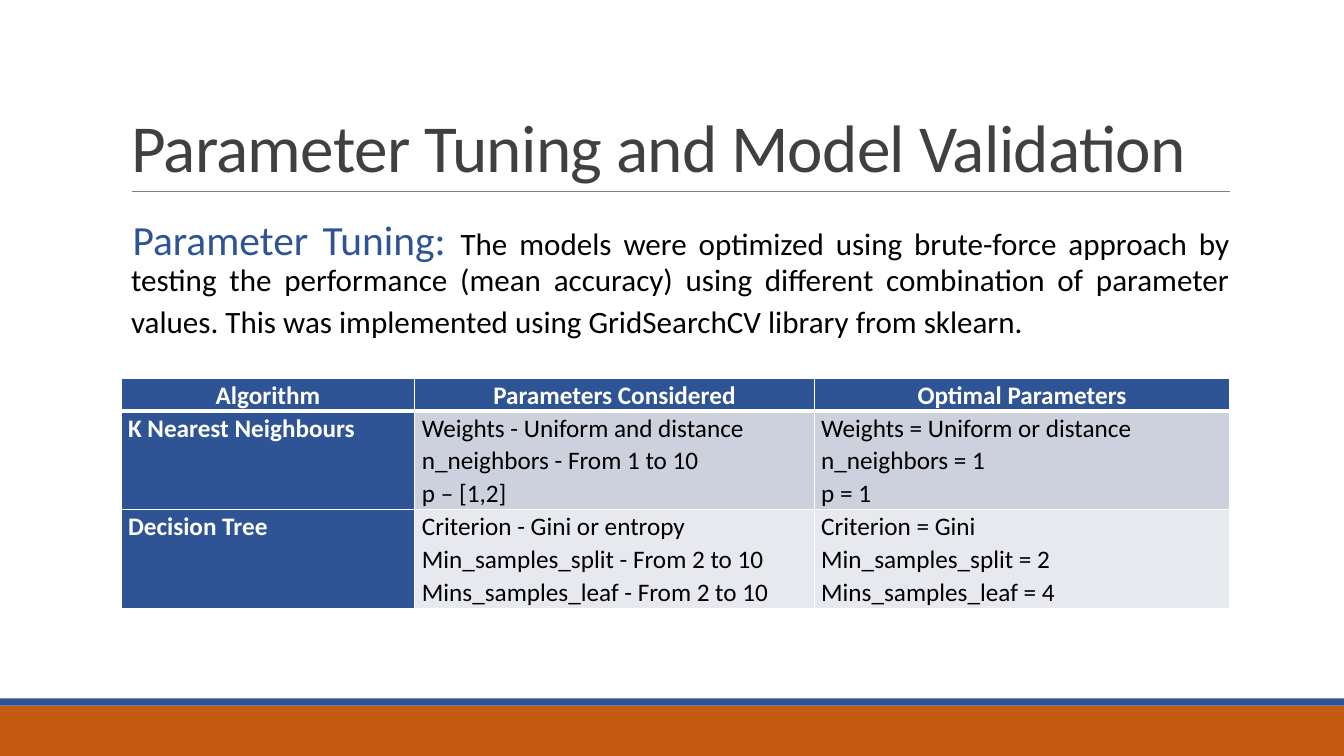
from dataclasses import dataclass

from lxml.etree import SubElement
from pptx import Presentation
from pptx.dml.color import RGBColor
from pptx.enum.shapes import MSO_CONNECTOR, MSO_SHAPE
from pptx.enum.text import MSO_ANCHOR, MSO_AUTO_SIZE, PP_ALIGN
from pptx.oxml.ns import qn
from pptx.util import Inches, Pt


@dataclass(frozen=True)
class Theme:
    font: str = "Calibri"
    title_color: str = "404040"
    text: str = "000000"
    white: str = "FFFFFF"
    blue: str = "2F5496"
    orange: str = "C55A11"
    rule: str = "808080"
    bands: tuple = ("CDD1DD", "E8E9EF")
    title_size: float = 48
    lead_size: float = 29.6
    body_size: float = 22.2
    table_size: float = 18


THEME = Theme()
WIDTH, HEIGHT = 13.33, 7.5
LEFT, CONTENT_WIDTH = 1.2, 11
COLUMN_SHARES = (0.265, 0.36, 0.375)
ROW_LINES = (1, 3, 3)

HEADERS = ("Algorithm", "Parameters Considered", "Optimal Parameters")
ALGORITHMS = (
    (
        "K Nearest Neighbours",
        ("Weights - Uniform and distance", "n_neighbors - From 1 to 10", "p – [1,2]"),
        ("Weights = Uniform or distance", "n_neighbors = 1", "p = 1"),
    ),
    (
        "Decision Tree",
        ("Criterion - Gini or entropy", "Min_samples_split - From 2 to 10",
         "Mins_samples_leaf - From 2 to 10"),
        ("Criterion = Gini", "Min_samples_split = 2", "Mins_samples_leaf = 4"),
    ),
)
EXPLANATION = (
    ("Parameter Tuning: ", THEME.lead_size, THEME.blue),
    ("The models were optimized using brute-force approach by testing the "
     "performance (mean accuracy) using different combination of parameter values. "
     "This was implemented using GridSearchCV library from sklearn.",
     THEME.body_size, THEME.text),
    (" ", THEME.lead_size, THEME.blue),
)


def add_run(paragraph, text, size, color, bold=False):
    run = paragraph.add_run()
    run.text = text
    run.font.name = THEME.font
    run.font.size = Pt(size)
    run.font.bold = bold
    run.font.color.rgb = RGBColor.from_string(color)
    return run


def place(shape, box):
    shape.left, shape.top, shape.width, shape.height = map(Inches, box)


def add_band(slide, box, color):
    band = slide.shapes.add_shape(MSO_SHAPE.RECTANGLE, *map(Inches, box))
    band.shadow.inherit = False
    band.fill.solid()
    band.fill.fore_color.rgb = RGBColor.from_string(color)
    band.line.fill.background()


def add_footer(slide, box):
    left, top, width, height = box
    stripe = 0.07
    add_band(slide, (left, top + stripe, width, height - stripe), THEME.orange)
    add_band(slide, (left, top, width, stripe), THEME.blue)


def add_title(slide, box, text):
    left, top, width, height = box
    title = slide.shapes.title
    place(title, box)
    frame = title.text_frame
    frame.word_wrap = True
    frame.auto_size = MSO_AUTO_SIZE.NONE
    frame.vertical_anchor = MSO_ANCHOR.BOTTOM
    paragraph = frame.paragraphs[0]
    paragraph.alignment = PP_ALIGN.LEFT
    paragraph.line_spacing = 0.85
    run = add_run(paragraph, text, THEME.title_size, THEME.title_color)
    run.font._element.set("spc", "-50")

    bottom = Inches(top + height)
    rule = slide.shapes.add_connector(
        MSO_CONNECTOR.STRAIGHT, Inches(left + 0.11), bottom, Inches(left + width), bottom
    )
    rule.line.color.rgb = RGBColor.from_string(THEME.rule)
    rule.line.width = Pt(0.5)
    SubElement(rule._element.spPr, qn("a:effectLst"))


def add_explanation(slide, box, runs):
    body = slide.placeholders[1]
    place(body, box)
    frame = body.text_frame
    frame.word_wrap = True
    frame.auto_size = MSO_AUTO_SIZE.NONE
    frame.vertical_anchor = MSO_ANCHOR.TOP
    frame.margin_left = frame.margin_right = 0
    paragraph = frame.paragraphs[0]
    paragraph.alignment = PP_ALIGN.JUSTIFY
    paragraph.line_spacing = 0.9
    paragraph.space_before = Pt(0)
    paragraph.space_after = Pt(2)
    properties = paragraph._p.get_or_add_pPr()
    properties.set("marL", str(Inches(0.1)))
    properties.set("indent", str(-Inches(0.1)))
    bullet_color = SubElement(properties, qn("a:buClr"))
    SubElement(bullet_color, qn("a:srgbClr"), val=THEME.blue)
    SubElement(properties, qn("a:buChar"), char=" ")
    for text, size, color in runs:
        add_run(paragraph, text, size, color)


def set_borders(cell, bottom_width):
    properties = cell._tc.get_or_add_tcPr()
    for side, width in (("L", 1), ("R", 1), ("T", 1), ("B", bottom_width)):
        line = SubElement(properties, qn(f"a:ln{side}"), w=str(Pt(width)))
        fill = SubElement(line, qn("a:solidFill"))
        SubElement(fill, qn("a:srgbClr"), val=THEME.white)


def fill_cell(cell, lines, fill, color, bold, alignment, space_after=0, bottom_width=1):
    set_borders(cell, bottom_width)
    cell.fill.solid()
    cell.fill.fore_color.rgb = RGBColor.from_string(fill)
    cell.margin_left = cell.margin_right = Inches(0.07)
    cell.margin_top = cell.margin_bottom = 0
    frame = cell.text_frame
    for index, text in enumerate(lines):
        paragraph = frame.add_paragraph() if index else frame.paragraphs[0]
        paragraph.alignment = alignment
        paragraph.line_spacing = 1.07
        paragraph.space_after = Pt(space_after)
        add_run(paragraph, text, THEME.table_size, color, bold)


def add_parameter_table(slide, box):
    left, top, width, height = box
    table = slide.shapes.add_table(
        len(ROW_LINES), len(COLUMN_SHARES), *map(Inches, box)
    ).table
    for column, share in zip(table.columns, COLUMN_SHARES):
        column.width = Inches(width * share)
    for row, lines in zip(table.rows, ROW_LINES):
        row.height = Inches(height * lines / sum(ROW_LINES))
    for column, header in enumerate(HEADERS):
        fill_cell(table.cell(0, column), (header,), THEME.blue, THEME.white, True,
                  PP_ALIGN.CENTER, bottom_width=3)
    for row, (algorithm, *parameters) in enumerate(ALGORITHMS, start=1):
        fill_cell(table.cell(row, 0), (algorithm,), THEME.blue, THEME.white, True,
                  PP_ALIGN.JUSTIFY, space_after=8)
        for column, lines in enumerate(parameters, start=1):
            fill_cell(table.cell(row, column), lines, THEME.bands[row - 1], THEME.text,
                      False, PP_ALIGN.JUSTIFY)


def build_tuning_slide(presentation):
    slide = presentation.slides.add_slide(presentation.slide_layouts[1])
    add_footer(slide, (0, 6.93, WIDTH, HEIGHT - 6.93))
    add_title(slide, (LEFT, 0.31, CONTENT_WIDTH, 1.59),
              "Parameter Tuning and Model Validation")
    add_explanation(slide, (LEFT, 2.13, CONTENT_WIDTH, 1.59), EXPLANATION)
    add_parameter_table(slide, (LEFT, HEIGHT / 2, CONTENT_WIDTH, 2.28))


def main():
    presentation = Presentation()
    presentation.slide_width = Inches(WIDTH)
    presentation.slide_height = Inches(HEIGHT)
    build_tuning_slide(presentation)
    presentation.save("out.pptx")


if __name__ == "__main__":
    main()
